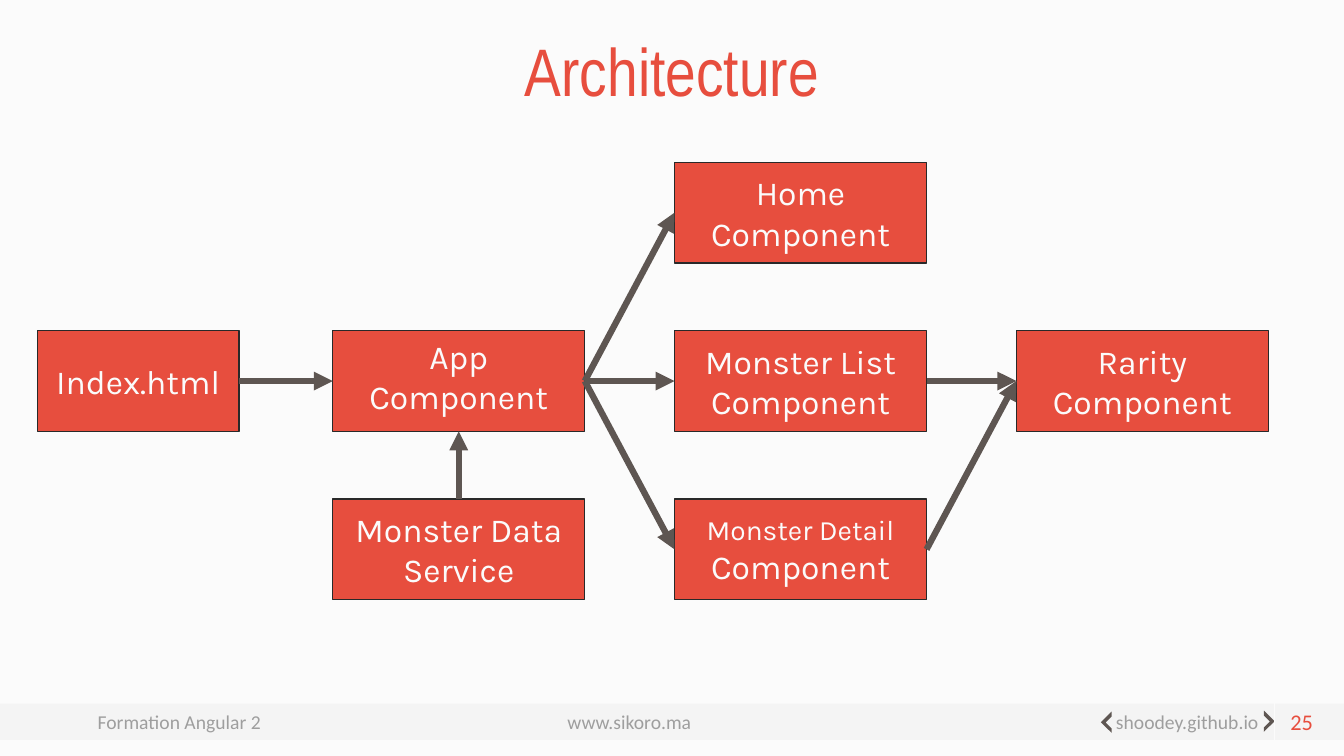
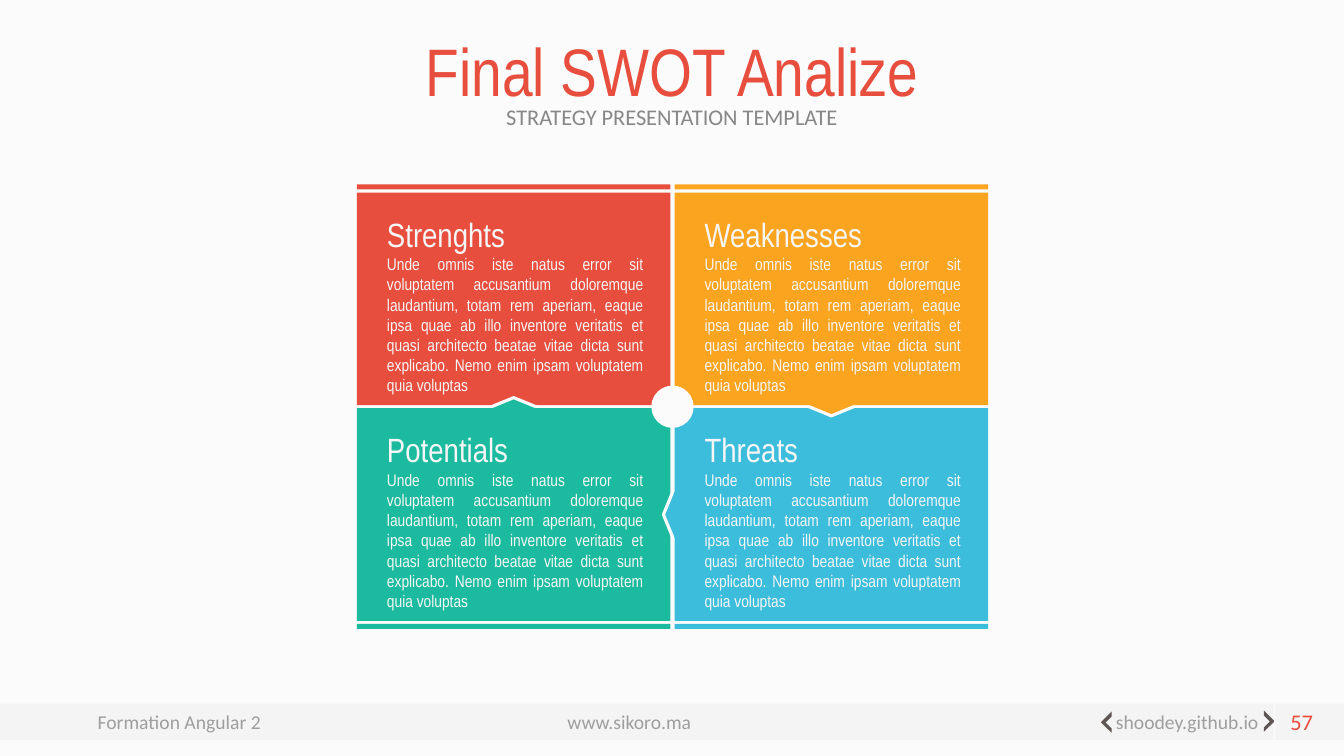
from lxml import etree
from pptx import Presentation
from pptx import util as u
from pptx.dml.color import RGBColor
from pptx.enum import shapes, text
from pptx.oxml.ns import qn

W, H = 13.33, 7.5
COLORS = {
    "paper": "FBFBFB", "ink": "5E5652", "grey": "878787", "edge": "292929",
    "pale": "F6F6F6", "red": "E74E3E", "orange": "FBA41F",
    "green": "1CBB9F", "blue": "3CBDDC",
}
SHAPE, ALIGN, ANCHOR = shapes.MSO_SHAPE, text.PP_ALIGN, text.MSO_ANCHOR
TOP, LEFT, BOTTOM, RIGHT = range(4)

LOREM = ("Unde omnis iste natus error sit voluptatem accusantium doloremque "
         "laudantium, totam rem aperiam, eaque ipsa quae ab illo inventore "
         "veritatis et quasi architecto beatae vitae dicta sunt explicabo. "
         "Nemo enim ipsam voluptatem quia voluptas")


# Shared helpers
def inches(*values):
    return [u.Inches(v) for v in values]


def paint(fill, color, alpha=None):
    fill.solid()
    fill.fore_color.rgb = RGBColor.from_string(COLORS[color])
    if alpha is not None:
        for clr in fill._xPr.iter(qn("a:srgbClr")):
            etree.SubElement(clr, qn("a:alpha"), val=str(alpha * 1000))


def add_box(slide, kind, box, fill, line=None, width=1, alpha=None, rot=0):
    sp = slide.shapes.add_shape(kind, *inches(*box))
    sp.shadow.inherit = False
    sp.rotation = rot
    paint(sp.fill, fill, alpha)
    if line:
        paint(sp.line.fill, line)
        sp.line.width = u.Pt(width)
    else:
        sp.line.fill.background()
    return sp


def add_line(slide, start, end, color, width):
    line = slide.shapes.add_connector(
        shapes.MSO_CONNECTOR.STRAIGHT, *inches(*start, *end))
    paint(line.line.fill, color)
    line.line.width = u.Pt(width)
    etree.SubElement(line._element.spPr, qn("a:effectLst"))
    return line


def write(sp, *paras, size=14, font="Calibri", color="grey", alpha=None,
          align=ALIGN.LEFT, anchor=ANCHOR.TOP, spacing=None, wrap=True,
          grow=False):
    """Each paragraph is a string, or a (string, size) pair."""
    tf = sp.text_frame
    tf.word_wrap = wrap
    tf.vertical_anchor = anchor
    if grow:
        tf.auto_size = text.MSO_AUTO_SIZE.SHAPE_TO_FIT_TEXT
    for i, para in enumerate(paras):
        words, points = (para, size) if isinstance(para, str) else para
        p = tf.paragraphs[0] if i == 0 else tf.add_paragraph()
        p.alignment = align
        if spacing:
            p.line_spacing = spacing
        r = p.add_run()
        r.text = words
        r.font.size = u.Pt(points)
        r.font.name = font
        paint(r.font.fill, color, alpha)


def add_text(slide, box, *paras, **style):
    write(slide.shapes.add_textbox(*inches(*box)), *paras, **style)


# Parts that every slide has
def add_footer(slide, box, number):
    x, y, w, h = box
    add_box(slide, SHAPE.RECTANGLE, box, "ink", alpha=4)
    for left, width, label in ((0.87, 1.83, "Formation Angular 2"),
                               (5.53, 1.44, "www.sikoro.ma"),
                               (10.97, 1.64, "shoodey.github.io")):
        add_text(slide, (x + left, y + 0.01, width, 0.34), label,
                 alpha=79, wrap=False, grow=True)
    # Angle brackets around the last address
    for left, top, rot in ((10.95, 0.11, 225), (12.46, 0.1, 135)):
        mark = add_box(slide, SHAPE.HALF_FRAME,
                       (x + left, y + top, 0.15, 0.15), "ink", rot=rot)
        mark.adjustments[0], mark.adjustments[1] = 0.21, 0.23
        if rot > 180:
            mark._element.spPr.xfrm.set("flipH", "1")
    # Divider and slide number
    add_line(slide, (x + 12.64, y - 0.03), (x + 12.64, y + h), "paper", 1)
    add_text(slide, (x + 12.58, y, 0.54, h), number,
             size=16, color="red", align=ALIGN.RIGHT)


def add_heading(slide, title, subtitle=None):
    left, width = W / 8, W * 3 / 4
    add_text(slide, (left, 0.16, width, 0.99), title, size=48,
             font="Arial Narrow", color="red", align=ALIGN.CENTER,
             anchor=ANCHOR.BOTTOM, spacing=0.9)
    if subtitle:
        add_text(slide, (left, 1, width, 0.49), subtitle, size=16,
                 align=ALIGN.CENTER, spacing=0.9)


def new_slide(prs, number, title, subtitle=None):
    slide = prs.slides.add_slide(prs.slide_layouts[6])
    add_footer(slide, (0, 6.98, W, 0.36), number)
    add_heading(slide, title, subtitle)
    return slide


# Component diagram
def add_architecture(slide, box):
    x, y, w, h = box
    node_w, node_h = 2.5, 1
    col_step, row_step = 3.39, (h - node_h) / 2
    first_col = x + w - node_w - 2 * col_step
    nodes = {  # name: (column, row, lines)
        "list": (1, 1, ("Monster List", "Component")),
        "detail": (1, 2, (("Monster Detail", 20), "Component")),
        "home": (1, 0, ("Home", "Component")),
        "app": (0, 1, ("App", "Component")),
        "index": (None, 1, ("Index.html",)),
        "data": (0, 2, ("Monster Data", "Service")),
        "rarity": (2, 1, ("Rarity", "Component")),
    }
    placed = {}
    for name, (col, row, lines) in nodes.items():
        # The entry page is a narrower box at the left edge
        left, width = ((x, 2) if col is None
                       else (first_col + col * col_step, node_w))
        sp = add_box(slide, SHAPE.RECTANGLE,
                     (left, y + row * row_step, width, node_h),
                     "red", line="edge")
        write(sp, *lines, size=24, font="Karla", color="paper",
              align=ALIGN.CENTER,
              anchor=ANCHOR.TOP if name == "app" else ANCHOR.MIDDLE)
        placed[name] = sp

    for start, side, end, end_side in (
            ("index", RIGHT, "app", LEFT), ("app", RIGHT, "home", LEFT),
            ("app", RIGHT, "list", LEFT), ("app", RIGHT, "detail", LEFT),
            ("data", TOP, "app", BOTTOM), ("detail", RIGHT, "rarity", LEFT),
            ("list", RIGHT, "rarity", LEFT)):
        arrow = add_line(slide, (0, 0), (1, 1), "ink", 4.5)
        arrow.begin_connect(placed[start], side)
        arrow.end_connect(placed[end], end_side)
        etree.SubElement(arrow.line._get_or_add_ln(), qn("a:tailEnd"),
                         type="triangle")


# SWOT board: two by two panels, pointers, strips and a hub
def add_swot(slide, box):
    x, y, w, h = box
    col_gap, row_gap, strip = 0.04, 0.03, 0.05
    pane_w = (w - col_gap) / 2
    pane_h = (h - 2 * strip - 3 * row_gap) / 2
    mid_x, mid_y = x + w / 2, y + h / 2
    point_w, point_h, hub = 0.88, 0.18, 0.42
    panes = (  # title, colour, column, row, pointer rotation
        ("Strenghts", "red", 0, 0, None),
        ("Potentials", "green", 0, 1, 0),
        ("Threats", "blue", 1, 1, 270),
        ("Weaknesses", "orange", 1, 0, 180),
    )
    # Each panel covers the inner half of its pointer
    for title, color, col, row, rot in panes:
        left = x + col * (pane_w + col_gap)
        top = y + strip + row_gap + row * (pane_h + row_gap)
        if rot is not None:
            cx, cy = ((mid_x, top + pane_h / 2) if rot == 270
                      else (left + pane_w / 2, mid_y))
            add_box(slide, SHAPE.ISOSCELES_TRIANGLE,
                    (cx - point_w / 2, cy - point_h / 2, point_w, point_h),
                    color, line="paper", width=2.25, rot=rot)
        add_box(slide, SHAPE.RECTANGLE, (left, top, pane_w, pane_h), color)
        add_box(slide, SHAPE.RECTANGLE,
                (left, y + row * (h - strip), pane_w, strip), color)
    # Text goes above all the panels
    for title, color, col, row, rot in panes:
        add_text(slide, (x + 0.2 + col * (pane_w + col_gap),
                         y + 0.24 + row * (pane_h + row_gap), 2.74, 1.72),
                 (title, 24), LOREM, size=12, font="Arial Narrow",
                 color="pale", align=ALIGN.JUSTIFY, grow=True)
    add_box(slide, SHAPE.OVAL,
            (mid_x - hub / 2, mid_y - hub / 2, hub, hub), "paper")


def main():
    prs = Presentation()
    prs.slide_width, prs.slide_height = inches(W, H)
    paint(prs.slide_master.background.fill, "paper")

    slide = new_slide(prs, "25", "Architecture")
    add_architecture(slide, (0.37, 1.61, 12.21, 4.34))

    slide = new_slide(prs, "57", "Final SWOT Analize",
                      "STRATEGY PRESENTATION TEMPLATE")
    add_swot(slide, (3.54, 1.83, 6.26, 4.41))

    prs.save("out.pptx")


if __name__ == "__main__":
    main()
